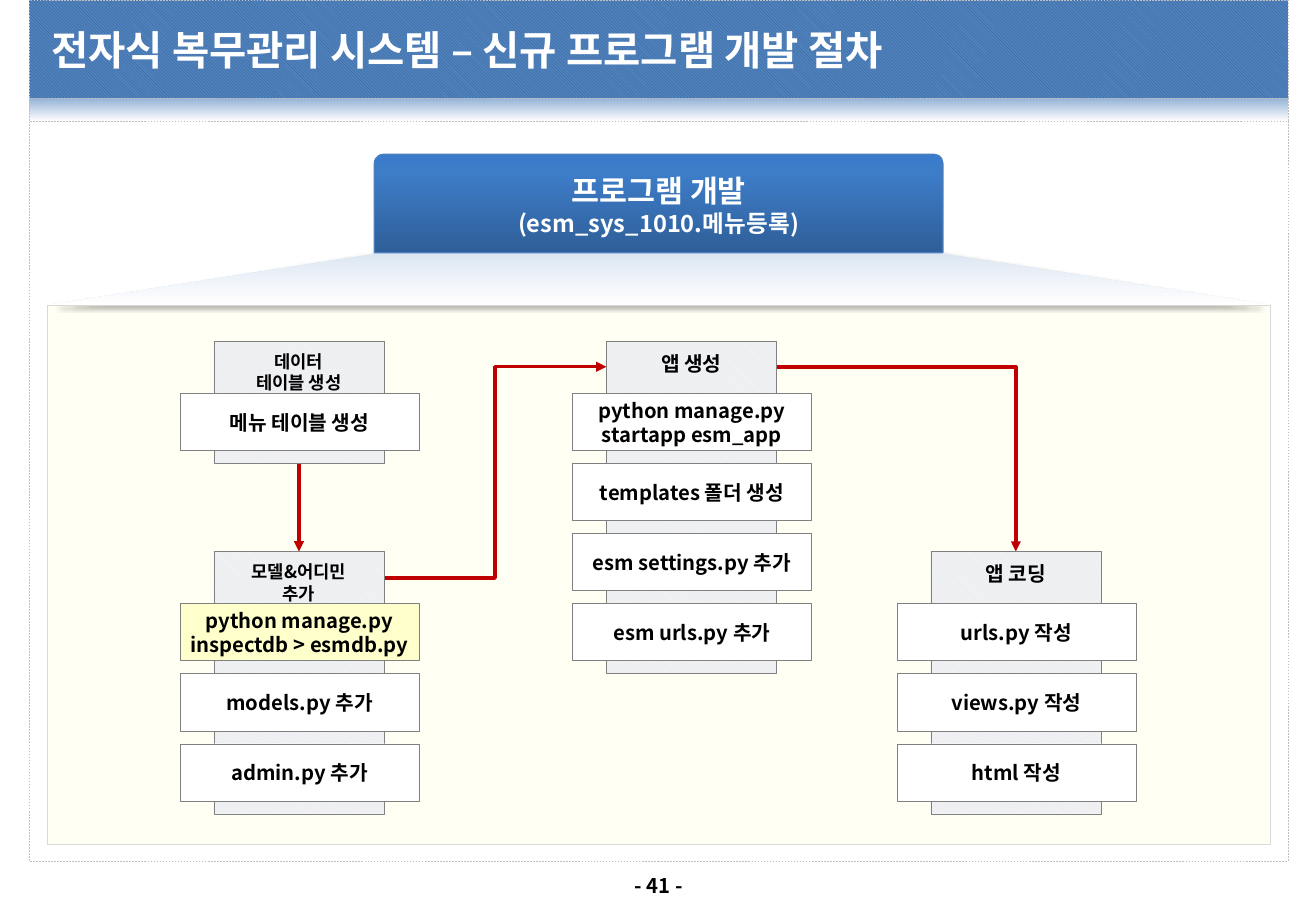
"""Builds the slide on the development steps of a new program."""
import lxml.etree
import pptx
import pptx.dml.color
import pptx.enum.dml
import pptx.enum.shapes
import pptx.enum.text
import pptx.oxml.ns
import pptx.util

Inches = pptx.util.Inches
Pt = pptx.util.Pt
Shape = pptx.enum.shapes.MSO_SHAPE
Connector = pptx.enum.shapes.MSO_CONNECTOR
Anchor = pptx.enum.text.MSO_ANCHOR
Align = pptx.enum.text.PP_ALIGN
qn = pptx.oxml.ns.qn

HEAD_HEIGHT = 0.43
CARD_PITCH = 1.73 / 3
UPPER, LOWER = 2.81, 4.54


def rgb(value):
    return pptx.dml.color.RGBColor.from_string(value)


def add_xml(parent, tag, **attributes):
    return lxml.etree.SubElement(parent, qn(tag), attributes)


class Board:
    font = "Noto Sans CJK KR"
    arrow_color = "C00000"

    def __init__(self, slide):
        self.slide = slide

    def shape(self, box, line=None, width=0.25, kind=Shape.RECTANGLE, dashed=False, adjust=()):
        shape = self.slide.shapes.add_shape(kind, *map(Inches, box))
        shape.shadow.inherit = False
        for index, value in enumerate(adjust):
            shape.adjustments[index] = value
        if line:
            shape.line.color.rgb = rgb(line)
            shape.line.width = Pt(width)
            if dashed:
                shape.line.dash_style = pptx.enum.dml.MSO_LINE.DASH
        else:
            shape.line.fill.background()
        return shape

    def solid(self, shape, color, opacity=100):
        shape.fill.solid()
        shape.fill.fore_color.rgb = rgb(color)
        if opacity < 100:
            color_node = shape._element.spPr.find(qn("a:solidFill"))[0]
            add_xml(color_node, "a:alpha", val=str(opacity * 1000))

    def gradient(self, shape, stops, angle):
        shape.fill.gradient()
        shape.fill.gradient_angle = 360 - angle
        stop_list = shape._element.spPr.find(qn("a:gradFill")).find(qn("a:gsLst"))
        stop_list.clear()
        for position, color in stops:
            stop = add_xml(stop_list, "a:gs", pos=str(position * 1000))
            add_xml(stop, "a:srgbClr", val=color)

    def hatch(self, shape, fore, back):
        shape.fill.patterned()
        shape.fill.pattern = pptx.enum.dml.MSO_PATTERN.LIGHT_DOWNWARD_DIAGONAL
        shape.fill.fore_color.rgb = rgb(fore)
        shape.fill.back_color.rgb = rgb(back)

    def drop_shadow(self, shape, blur, distance, opacity):
        effects = shape._element.spPr.find(qn("a:effectLst"))
        shadow = add_xml(effects, "a:outerShdw", blurRad=str(Pt(blur)), dist=str(Pt(distance)),
                         dir="5400000", algn="t", rotWithShape="0")
        color = add_xml(shadow, "a:srgbClr", val="000000")
        add_xml(color, "a:alpha", val=str(opacity * 1000))

    def text(self, shape, lines, sizes, color="000000", align=Align.CENTER,
             anchor=Anchor.MIDDLE, wrap=True, inset=0.04):
        frame = shape.text_frame
        frame.word_wrap = wrap
        frame.vertical_anchor = anchor
        frame.margin_left = frame.margin_right = Inches(0.04)
        frame.margin_top = frame.margin_bottom = Inches(inset)
        frame.text = "\n".join(lines)
        for paragraph, size in zip(frame.paragraphs, sizes):
            paragraph.alignment = align
            font = paragraph.font
            font.name, font.size, font.bold = self.font, Pt(size), True
            font.color.rgb = rgb(color)
            add_xml(font._rPr, "a:ea", typeface=self.font)

    def label(self, box, words, size, **style):
        self.text(self.slide.shapes.add_textbox(*map(Inches, box)), [words], [size], **style)

    def arrow(self, start, end, kind=Connector.ELBOW, one_bend=False):
        arrow = self.slide.shapes.add_connector(kind, *map(Inches, start + end))
        arrow.line.color.rgb = rgb(self.arrow_color)
        arrow.line.width = Pt(2)
        properties = arrow._element.spPr
        if one_bend:
            properties.find(qn("a:prstGeom")).set("prst", "bentConnector2")
        add_xml(properties.find(qn("a:ln")), "a:tailEnd", type="triangle")
        add_xml(properties, "a:effectLst")

    def stage(self, left, top, heading, size, cards, highlighted=None):
        height = HEAD_HEIGHT + CARD_PITCH * len(cards)
        column = self.shape((left, top, 1.4, height), "808080")
        self.hatch(column, "DCE6F2", "F2F2F2")
        self.text(column, heading, [size] * len(heading), anchor=Anchor.TOP, wrap=False, inset=0.08)
        for index, words in enumerate(cards):
            card_top = top + HEAD_HEIGHT + index * CARD_PITCH
            card = self.shape((left - 0.28, card_top, 1.97, 0.47), "808080")
            self.solid(card, "FFFFCC" if index == highlighted else "FFFFFF")
            self.text(card, [words], [12])


def main():
    deck = pptx.Presentation()
    deck.slide_width, deck.slide_height = Inches(10.83), Inches(7.5)
    board = Board(deck.slides.add_slide(deck.slide_layouts[6]))

    page = board.shape((0.24, 1, 10.36, 6.09), "BFBFBF", dashed=True)
    board.solid(page, "FFFFFF")
    banner = board.shape((0.24, 0, 10.36, 0.81), "BFBFBF", dashed=True)
    board.hatch(banner, "376092", "4F81BD")
    banner_fade = board.shape((0.24, 0.81, 10.36, 0.19), "BFBFBF", dashed=True)
    board.gradient(banner_fade, [(0, "95B3D7"), (100, "FFFFFF")], 90)
    board.label((0.38, 0.08, 10.09, 0.66), "전자식 복무관리 시스템 – 신규 프로그램 개발 절차", 24,
                color="FFFFFF", align=Align.LEFT)
    board.label((5.08, 7.14, 0.68, 0.3), "- 41 -", 12, wrap=False)

    beam = board.shape((0.4, 2.08, 10.05, 0.43), kind=Shape.TRAPEZOID, adjust=[6.38])
    board.gradient(beam, [(0, "DCE6F2"), (100, "FFFFFF")], 90)
    board.drop_shadow(beam, 3.1, 1.6, 38)
    goal = board.shape((3.08, 1.27, 4.68, 0.81), "4B7EBC", 0.75,
                       Shape.ROUND_2_SAME_RECTANGLE, adjust=[0.09, 0])
    board.gradient(goal, [(0, "2F5F99"), (80, "3D7CC7"), (100, "3A7CCB")], 270)
    board.text(goal, ["프로그램 개발", "(esm_sys_1010.메뉴등록)"], [18, 14], "FFFFFF", wrap=False)
    panel = board.shape((0.39, 2.51, 10.06, 4.44), "D9D9D9")
    board.solid(panel, "FFFFCC", 20)

    board.arrow((3.16, 4.76), (4.99, 3.02))
    board.arrow((6.39, 3.02), (8.36, LOWER), one_bend=True)
    board.arrow((2.46, 3.81), (2.46, LOWER), Connector.STRAIGHT)

    board.stage(1.76, UPPER, ["데이터", "테이블 생성"], 10.5, ["메뉴 테이블 생성"])
    board.stage(4.99, UPPER, ["앱 생성"], 12,
                ["python manage.py startapp esm_app", "templates 폴더 생성",
                 "esm settings.py 추가", "esm urls.py 추가"])
    board.stage(7.66, LOWER, ["앱 코딩"], 12, ["urls.py 작성", "views.py 작성", "html 작성"])
    board.stage(1.76, LOWER, ["모델&어디민", "추가"], 10.5,
                ["python manage.py inspectdb > esmdb.py", "models.py 추가", "admin.py 추가"],
                highlighted=0)
    deck.save("out.pptx")


if __name__ == "__main__":
    main()
